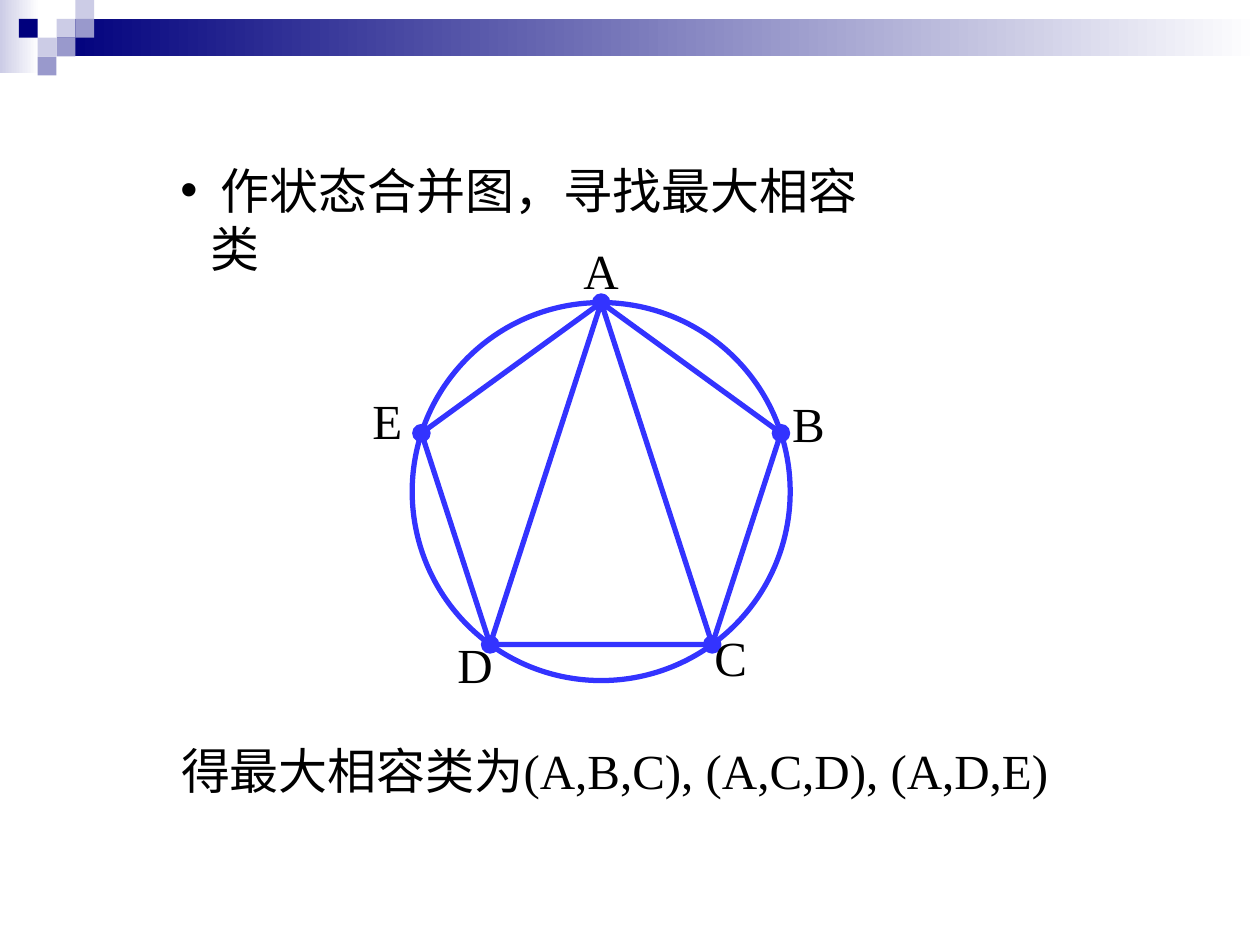
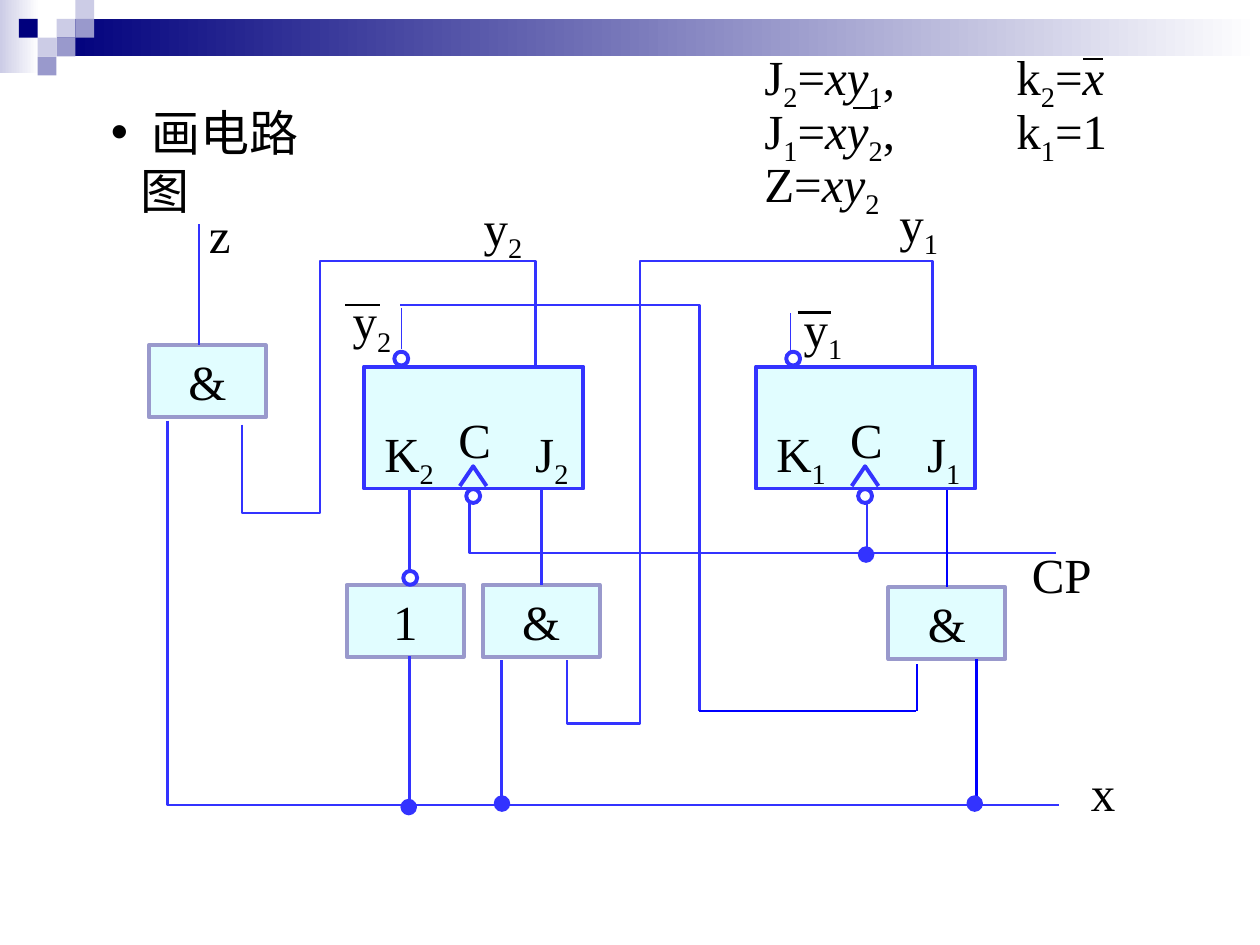
from dataclasses import dataclass
from math import cos, radians, sin

from lxml import etree
from pptx import Presentation, util as u
from pptx.dml.color import RGBColor
from pptx.enum import shapes as kinds, text
from pptx.oxml.ns import qn


@dataclass(frozen=True)
class Theme:
    navy: str = "00007D"
    mid: str = "9999CC"
    pale: str = "CCCCE6"
    white: str = "FFFFFF"
    ink: str = "000000"
    wire: str = "3333FF"
    blue: str = "0000FF"
    gate: str = "E1FDFF"
    font: str = "Times New Roman"
    size: int = 28
    thin: float = 0.75
    line: float = 1.5
    edge: float = 2.25
    bold: float = 3


T = Theme()
KIND = kinds.MSO_SHAPE

FADES = [(0, 0, 0.79, 1.47, T.pale), (1.14, 0.38, 24.26, 0.76, T.navy)]
TILE = 0.38
TILES = [
    (3, 1, T.pale), (4, 0, T.pale), (4, 1, T.mid), (2, 2, T.pale),
    (1, 1, T.navy), (3, 2, T.mid), (2, 3, T.mid),
]

MERGE = {
    "head": (" 作状态合并图，寻找最大相容类", (3.38, 3.1, 14.88, 1.45)),
    "result": ("得最大相容类为(A,B,C), (A,C,D), (A,D,E)", (3.4, 14.81, 18.75, 1.45)),
    "centre": (12.12, 9.91),
    "radius": 3.81,
    "states": {
        "A": (11.51, 4.72), "B": (15.72, 7.8), "C": (14.15, 12.52),
        "D": (8.97, 12.67), "E": (7.26, 7.75),
    },
    "chords": ["AD", "AC"],
}

HEAD = (" 画电路图", (1.98, 1.93, 5, 1.45))
LOGIC = [
    "J|_2|=|/xy|_1|, \tk|_2|=|/x",
    "J|_1|=|/xy|_2|, \tk|_1|=1",
    "Z=|/xy|_2",
]
FLIPS = [("2", 7.34), ("1", 15.24)]
GATES = {
    "out": ("&", 3, 6.96), "not": ("1", 6.99, 11.79),
    "and2": ("&", 9.73, 11.79), "and1": ("&", 17.91, 11.84),
}
LABELS = [
    ("z", 3.96, 3.99, 1.1), ("x", 21.74, 15.24, 1.22), ("CP", 20.55, 10.85, 2),
    ("y|_2", 9.5, 3.86, 1.5), ("y|_1", 17.88, 3.78, 1.5),
    ("y|_2", 6.86, 5.74, 1.5), ("y|_1", 15.95, 5.89, 1.5),
]
BARS = [
    (21.84, 22.23, 1.19, T.line), (17.2, 17.7, 2.18, T.thin),
    (6.96, 7.67, 6.15, T.line), (16.08, 16.76, 6.3, T.line),
]
PATHS = [
    [(4.88, 8.56), (4.88, 10.34), (6.45, 10.34), (6.45, 5.26), (10.8, 5.26), (10.8, 7.37)],
    [(3.38, 8.48), (3.38, 16.23), (21.34, 16.23)],
    [(9.47, 10.13), (9.47, 11.15), (21.29, 11.15)],
    [(11.43, 13.31), (11.43, 14.58), (12.9, 14.58), (12.9, 5.26), (18.8, 5.26), (18.8, 7.44)],
    [(8.07, 6.15), (14.1, 6.15), (14.1, 14.33)],
]
WIRES = [
    ((8.26, 9.88), (8.26, 11.5), T.wire, T.line),
    ((8.26, 13.23), (8.26, 16.28), T.wire, T.line),
    ((10.11, 13.31), (10.11, 16.28), T.wire, T.line),
    ((17.48, 10.13), (17.48, 11.2), T.wire, T.line),
    ((4.01, 4.52), (4.01, 6.96), T.wire, T.line),
    ((8.1, 7.04), (8.1, 6.2), T.wire, T.thin),
    ((15.93, 7.09), (15.93, 6.3), T.wire, T.thin),
    ((19.69, 13.28), (19.69, 16.2), T.blue, T.line),
    ((14.1, 14.33), (18.47, 14.33), T.blue, T.line),
    ((18.49, 14.33), (18.49, 13.39), T.blue, T.line),
]
FEEDS = [((10.91, 9.88), "and2", T.wire), ((19.09, 9.86), "and1", T.blue)]
NODES = [(10.12, 16.2), (17.46, 11.18), (8.24, 16.27), (19.65, 16.2)]
NOT_TIP = (8.27, 11.65)


def rgb(code):
    return RGBColor.from_string(code)


def cms(vals):
    return [u.Cm(v) for v in vals]


def stroke(line, hue, width):
    line.color.rgb = rgb(hue)
    line.width = u.Pt(width)


def shape(slide, kind, box, fill=None, edge=None, width=T.edge):
    part = slide.shapes.add_shape(kind, *cms(box))
    part.shadow.inherit = False
    if fill:
        part.fill.solid()
        part.fill.fore_color.rgb = rgb(fill)
    else:
        part.fill.background()
    if edge:
        stroke(part.line, edge, width)
    else:
        part.line.fill.background()
    return part


def dot(slide, spot, fill, width, size=0.28):
    x, y = spot
    return shape(slide, KIND.OVAL, (x - size / 2, y - size / 2, size, size), fill, T.wire, width)


def wire(slide, start, end, hue=T.wire, width=T.line):
    link = slide.shapes.add_connector(kinds.MSO_CONNECTOR.STRAIGHT, *cms(start + end))
    stroke(link.line, hue, width)
    etree.SubElement(link.element.spPr, qn("a:effectLst"))
    return link


def trace(slide, spots, width=T.line):
    first, *rest = [tuple(cms(spot)) for spot in spots]
    pen = slide.shapes.build_freeform(*first)
    pen.add_line_segments(rest, close=False)
    part = pen.convert_to_shape()
    part.shadow.inherit = False
    part.fill.background()
    stroke(part.line, T.wire, width)


def style(para, align=text.PP_ALIGN.LEFT):
    para.alignment = align
    font = para.font
    font.name, font.size = T.font, u.Pt(T.size)
    font.color.rgb = rgb(T.ink)


def write(para, marks):
    for mark in marks.split("|"):
        run = para.add_run()
        run.text = mark.lstrip("_/")
        if mark[0] == "_":
            run.font._element.set("baseline", "-25000")
        elif mark[0] == "/":
            run.font.italic = True


def label(slide, lines, box, wrap=False, space=None, tab=None):
    frame = slide.shapes.add_textbox(*cms(box)).text_frame
    frame.word_wrap = wrap
    for i, marks in enumerate(lines):
        para = frame.add_paragraph() if i else frame.paragraphs[0]
        if space:
            para.line_spacing = space
        if tab:
            stops = etree.SubElement(para._p.get_or_add_pPr(), qn("a:tabLst"))
            etree.SubElement(stops, qn("a:tab"), pos=str(u.Cm(tab)), algn="l")
        style(para)
        write(para, marks)


def heading(slide, words, box):
    title = slide.shapes.title
    title.left, title.top, title.width, title.height = cms(box)
    frame = title.text_frame
    frame.text = words
    frame.word_wrap = True
    frame.auto_size = text.MSO_AUTO_SIZE.NONE
    frame.vertical_anchor = text.MSO_ANCHOR.TOP
    para = frame.paragraphs[0]
    props = para._p.get_or_add_pPr()
    props.set("marL", str(u.Cm(0.6)))
    props.set("indent", str(-u.Cm(0.6)))
    etree.SubElement(props, qn("a:buFont"), typeface="Arial")
    etree.SubElement(props, qn("a:buChar"), char="•")
    style(para)


def add_band(slide, layout):
    parts = []
    for *box, hue in FADES:
        part = shape(slide, KIND.RECTANGLE, box)
        part.fill.gradient()
        part.fill.gradient_angle = 0
        for stop, tone in zip(part.fill.gradient_stops, (hue, T.white)):
            stop.color.rgb = rgb(tone)
        parts.append(part)
    for col, row, hue in TILES:
        box = (col * TILE, row * TILE, TILE, TILE)
        parts.append(shape(slide, KIND.RECTANGLE, box, hue))
    for i, part in enumerate(parts):
        part.element.nvSpPr.cNvPr.set("id", str(100 + i))
        layout.shapes.element.insert(2 + i, part.element)


def draw_merge(slide):
    heading(slide, *MERGE["head"])
    (x, y), r = MERGE["centre"], MERGE["radius"]
    spots = {}
    for i, name in enumerate(MERGE["states"]):
        turn = radians(72 * i)
        spots[name] = (x + r * sin(turn), y - r * cos(turn))
    shape(slide, KIND.OVAL, (x - r, y - r, 2 * r, 2 * r), None, T.wire, T.bold)
    half = r * sin(radians(72))
    tall = r * (1 + cos(radians(36)))
    shape(slide, KIND.REGULAR_PENTAGON, (x - half, y - r, 2 * half, tall), None, T.wire, T.bold)
    for start, end in MERGE["chords"]:
        wire(slide, spots[start], spots[end], width=T.bold)
    for name, place in MERGE["states"].items():
        dot(slide, spots[name], T.wire, T.line, 0.32)
        label(slide, [name], place + (1.2, 1.45))
    words, box = MERGE["result"]
    label(slide, [words], box, wrap=True)


def draw_flip(slide, name, x):
    shape(slide, KIND.RECTANGLE, (x, 7.39, 4.42, 2.46), T.gate, T.wire)
    trace(slide, [(x + 1.93, 9.8), (x + 2.2, 9.4), (x + 2.47, 9.8)], T.edge)
    for dx, y in [(2.2, 10), (0.75, 7.23)]:
        dot(slide, (x + dx, y), T.white, T.edge)
    for marks, dx, y, w in [("K|_" + name, 0.16, 8.41, 1.7), ("C", 1.65, 8.13, 1.3),
                            ("J|_" + name, 3.2, 8.41, 1.4)]:
        label(slide, [marks], (x + dx, y, w, 1.6))


def draw_gate(slide, sign, x, y):
    gate = shape(slide, KIND.RECTANGLE, (x, y, 2.36, 1.45), T.gate, T.mid)
    para = gate.text_frame.paragraphs[0]
    style(para, text.PP_ALIGN.CENTER)
    write(para, sign)
    return gate


def draw_circuit(slide):
    heading(slide, *HEAD)
    label(slide, LOGIC, (15.16, 0.94, 7.42, 3.5), space=0.8, tab=5.08)
    gates = {name: draw_gate(slide, *spec) for name, spec in GATES.items()}
    for spots in PATHS:
        trace(slide, spots)
    for ends in WIRES:
        wire(slide, *ends)
    for start, name, hue in FEEDS:
        wire(slide, start, start, hue).end_connect(gates[name], 0)
    for name, x in FLIPS:
        draw_flip(slide, name, x)
    for spot in NODES:
        dot(slide, spot, T.wire, T.line)
    dot(slide, NOT_TIP, T.white, T.edge)
    for marks, x, y, w in LABELS:
        label(slide, [marks], (x, y, w, 1.45))
    for left, right, y, width in BARS:
        wire(slide, (left, y), (right, y), T.ink, width)


def main():
    deck = Presentation()
    deck.slide_width, deck.slide_height = cms((25.4, 19.05))
    layout = deck.slide_layouts[5]
    pages = [deck.slides.add_slide(layout) for _ in range(2)]
    add_band(pages[0], layout)
    draw_merge(pages[0])
    draw_circuit(pages[1])
    deck.save("out.pptx")


if __name__ == "__main__":
    main()
